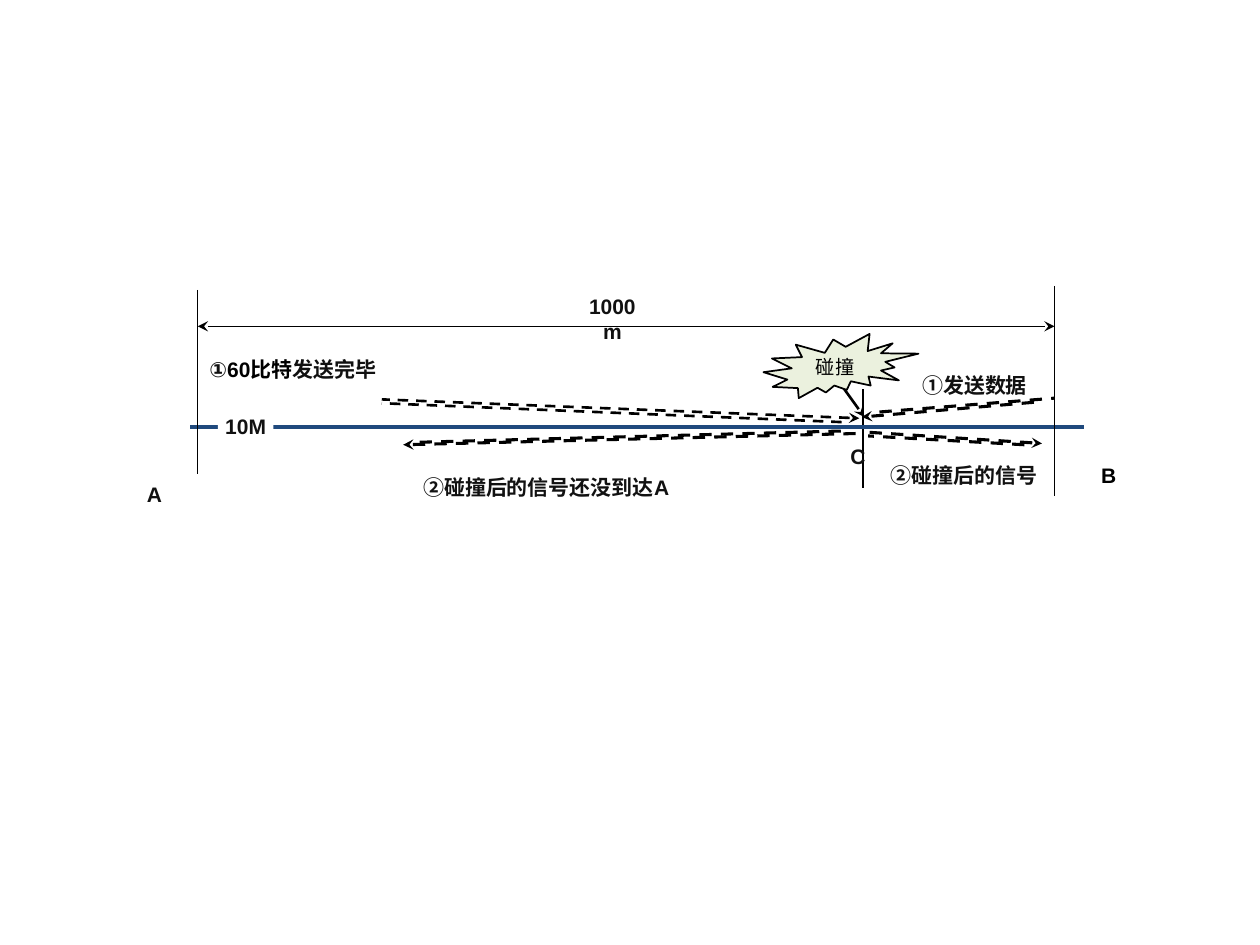
"""Build a slide showing a signal collision on a 1000 m shared link."""
from typing import NamedTuple

from lxml import etree
from pptx import Presentation
from pptx.dml.color import RGBColor
from pptx.enum import dml, shapes, text
from pptx.oxml.ns import qn
from pptx.util import Inches, Pt

COLORS = {"black": "000000", "ink": "111111", "link": "1F497D",
          "seal": "EBF1DE", "white": "FFFFFF"}


class Line(NamedTuple):
    x1: float
    y1: float
    x2: float
    y2: float
    width: float = 0.75
    color: str = "black"
    dashed: bool = False
    ends: tuple = ()


class Label(NamedTuple):
    x: float
    y: float
    w: float
    runs: tuple


A_X, B_X, C_X, LINK_Y = 1.57, 8.37, 6.85, 3.39
HEAD, TAIL = "headEnd", "tailEnd"

BASE_LINES = [
    Line(C_X, 3.09, C_X, 3.87),
    Line(1.51, LINK_Y, 8.6, LINK_Y, 2, "link"),
    Line(B_X, 2.27, B_X, 3.94),
    Line(B_X, 2.59, A_X, 2.59, ends=(HEAD, TAIL)),
    Line(6.68, 3.06, 6.86, 3.31, 1.5, ends=(TAIL,)),
    Line(A_X, 2.3, A_X, 3.76),
]
SIGNALS = [
    Line(3.2, 3.53, 6.83, 3.44, 1.75, dashed=True, ends=(HEAD,)),
    Line(3.33, 3.51, 6.72, 3.42, 1.75, dashed=True),
    Line(6.82, 3.32, 3.03, 3.17, 1.5, dashed=True, ends=(HEAD,)),
    Line(6.68, 3.35, 3.03, 3.2, 1.5, dashed=True),
    Line(6.84, 3.31, 8.24, 3.19, 1.75, dashed=True, ends=(HEAD,)),
    Line(6.98, 3.27, B_X, 3.16, 1.75, dashed=True),
    Line(8.27, 3.52, 6.88, 3.43, 1.75, dashed=True, ends=(HEAD,)),
    Line(8.13, 3.53, 6.89, 3.46, 1.75, dashed=True),
]
LABELS = [
    Label(1.03, 3.77, 0.39, (("A", "ink"),)),
    Label(8.6, 3.62, 0.4, (("B", "black"),)),
    Label(4.5, 2.28, 0.72, (("1000 m", "ink"),)),
    Label(1.51, 2.78, 1.63, (("①", "ink"), ("60比特", "black"), ("发送完毕", "ink"))),
    Label(7.02, 2.91, 1.43, (("①发送数据", "ink"),)),
    Label(6.91, 3.62, 1.48, (("②碰撞后的信号", "ink"),)),
    Label(6.65, 3.47, 0.21, (("C", "ink"),)),
    Label(3.11, 3.72, 2.45, (("②碰撞后的信号还没到达A", "ink"),)),
]


def rgb(name: str) -> RGBColor:
    return RGBColor.from_string(COLORS[name])


def add_line(s, line: Line) -> None:
    ends = map(Inches, (line.x1, line.y1, line.x2, line.y2))
    cx = s.shapes.add_connector(shapes.MSO_CONNECTOR.STRAIGHT, *ends)
    cx.line.color.rgb = rgb(line.color)
    cx.line.width = Pt(line.width)
    if line.dashed:
        cx.line.dash_style = dml.MSO_LINE.DASH
    ln = cx.line._get_or_add_ln()
    for end in line.ends:
        etree.SubElement(ln, qn(f"a:{end}"), type="stealth")
    etree.SubElement(cx._element.spPr, qn("a:effectLst"))


def write(sp, runs: tuple, font: str = "Arial", size: int = 12, bold: bool = True,
          **frame) -> None:
    tf = sp.text_frame
    for key, value in ({"word_wrap": True} | frame).items():
        setattr(tf, key, value)
    p = tf.paragraphs[0]
    p.alignment = text.PP_ALIGN.CENTER
    for words, color in runs:
        r = p.add_run()
        r.text = words
        for key, value in {"name": font, "size": Pt(size), "bold": bold}.items():
            setattr(r.font, key, value)
        r.font.color.rgb = rgb(color)


def add_shape(s, kind, box: tuple, fill: str):
    sp = s.shapes.add_shape(kind, *map(Inches, box))
    sp.shadow.inherit = False
    sp.fill.solid()
    sp.fill.fore_color.rgb = rgb(fill)
    sp.line.fill.background()
    return sp


def add_label(s, label: Label) -> None:
    box = map(Inches, (label.x, label.y, label.w, 0.3))
    write(s.shapes.add_textbox(*box), label.runs,
          auto_size=text.MSO_AUTO_SIZE.SHAPE_TO_FIT_TEXT)


def main() -> None:
    prs = Presentation()
    prs.slide_width, prs.slide_height = Inches(10), Inches(7.5)
    s = prs.slides.add_slide(prs.slide_layouts[6])
    for line in BASE_LINES:
        add_line(s, line)

    seal = add_shape(s, shapes.MSO_SHAPE.EXPLOSION2, (6.06, 2.65, 1.23, 0.51), "seal")
    seal.line.color.rgb = rgb("black")
    seal.line.width = Pt(1)
    write(seal, (("碰撞", "black"),), "Calibri", 11, False,
          vertical_anchor=text.MSO_ANCHOR.MIDDLE)

    rate = add_shape(s, shapes.MSO_SHAPE.RECTANGLE, (1.73, 3.23, 0.44, 0.3), "white")
    write(rate, (("10M", "ink"),), margin_left=Inches(0.04), margin_right=Inches(0.04),
          vertical_anchor=text.MSO_ANCHOR.TOP,
          auto_size=text.MSO_AUTO_SIZE.SHAPE_TO_FIT_TEXT)

    for line in SIGNALS:
        add_line(s, line)
    for label in LABELS:
        add_label(s, label)
    prs.save("out.pptx")


if __name__ == "__main__":
    main()
